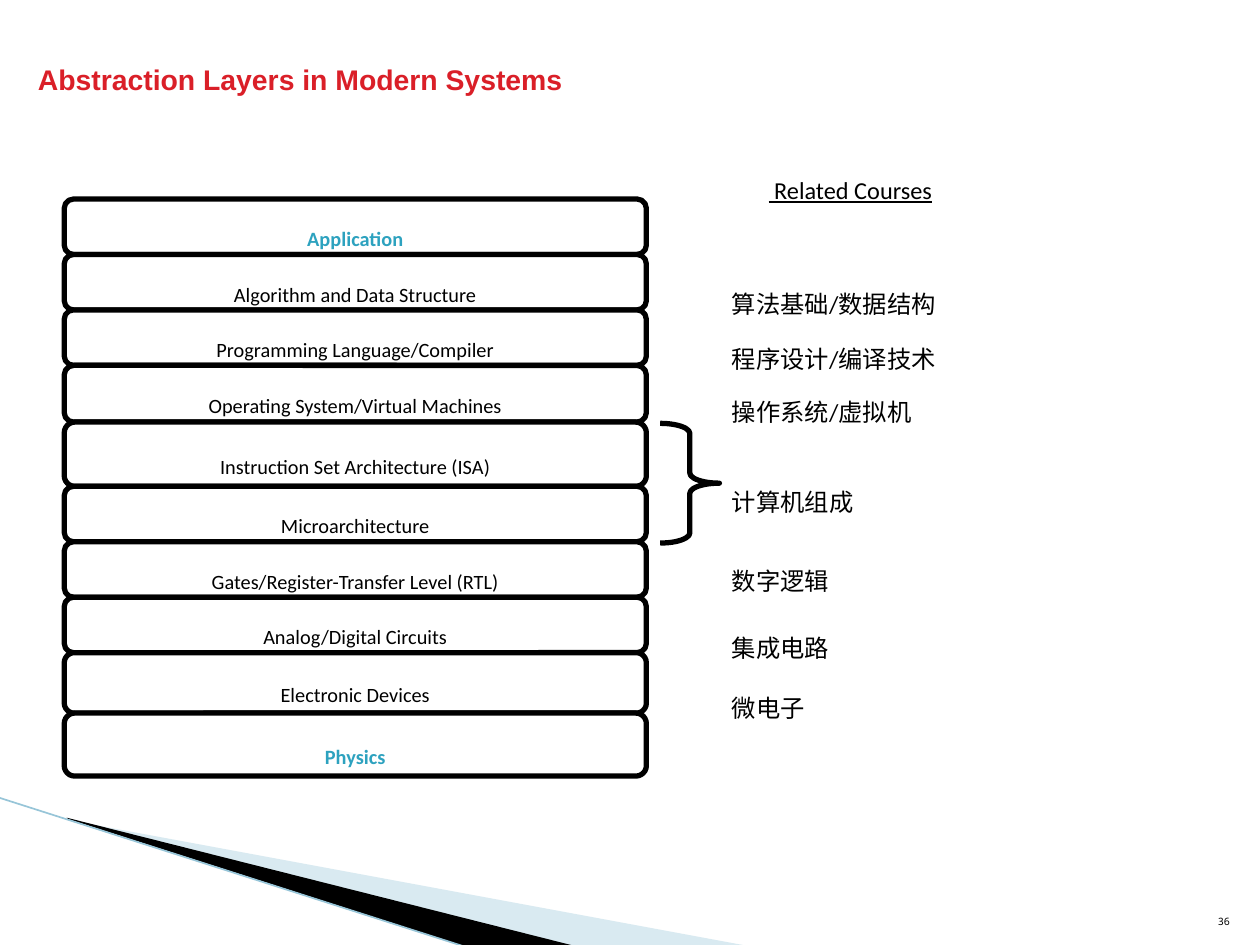
from lxml import etree
from pptx import Presentation
from pptx.dml.color import RGBColor
from pptx.enum.shapes import MSO_CONNECTOR, MSO_SHAPE
from pptx.enum.text import MSO_ANCHOR as Anchor, MSO_AUTO_SIZE as AutoSize, PP_ALIGN as Align
from pptx.oxml.ns import qn
from pptx.util import Inches, Pt

COLUMNS, ROWS = 100, 75
CELL = Inches(10) // COLUMNS
BLACK = RGBColor(0x00, 0x00, 0x00)
WHITE = RGBColor(0xFF, 0xFF, 0xFF)
RED = RGBColor(0xDA, 0x1F, 0x28)
TEAL = RGBColor(0x2D, 0xA2, 0xBF)
PALE_BLUE = RGBColor(0xA0, 0xCB, 0xDC)
EDGE_BLUE = RGBColor(0x97, 0xC5, 0xD8)

TITLE_FONT = dict(name="Arial", size=Pt(28), bold=True)
LAYER_FONT = dict(name="Calibri", size=Pt(20))
COURSE_FONT = dict(name="Calibri", size=Pt(24))
NUMBER_FONT = dict(name="Noto Sans Mono", size=Pt(10))

LAYERS = [
    ("Application", 4.4),
    ("Algorithm and Data Structure", 4.4),
    ("Programming Language/Compiler", 4.4),
    ("Operating System/Virtual Machines", 4.5),
    ("Instruction Set Architecture (ISA)", 5.1),
    ("Microarchitecture", 4.4),
    ("Gates/Register-Transfer Level (RTL)", 4.4),
    ("Analog/Digital Circuits", 4.4),
    ("Electronic Devices", 4.8),
    ("Physics", 5),
]
END_LAYERS = ("Application", "Physics")
COURSES = [
    ("算法基础/数据结构", 9, 30),
    ("程序设计/编译技术", 13.4, 30),
    ("操作系统/虚拟机", 17.6, 26.6),
    ("计算机组成", 24.7, 18.7),
    ("数字逻辑", 31, 15.3),
    ("集成电路", 36.3, 15.3),
    ("微电子", 41.1, 12),
]


def cells(*counts):
    return [round(count * CELL) for count in counts]


def apply(target, values):
    for key, value in values.items():
        setattr(target, key, value)


def write(frame, text, font, color=BLACK, align=Align.LEFT, **frame_values):
    apply(frame, dict(auto_size=AutoSize.NONE, word_wrap=True) | frame_values)
    paragraph = frame.paragraphs[0]
    paragraph.alignment = align
    run = paragraph.add_run()
    run.text = text
    apply(run.font, font)
    run.font.color.rgb = color
    run._r.get_or_add_rPr().set("baseline", "-25000")
    return paragraph


def outline(shape):
    shape.shadow.inherit = False
    shape.line.color.rgb = BLACK
    shape.line.width = Pt(3)


def add_wedge(slide, points, color):
    start, *others = [cells(*point) for point in points]
    builder = slide.shapes.build_freeform(*start)
    builder.add_line_segments(others)
    wedge = builder.convert_to_shape()
    wedge.shadow.inherit = False
    wedge.fill.solid()
    wedge.fill.fore_color.rgb = color
    wedge.line.fill.background()
    return wedge


def add_corner(slide, left, top):
    def corner(*points):
        return [(left + x, top + y) for x, y in points]

    pale = add_wedge(slide, corner((5.5, 1.8), (59.5, 11.8), (45.6, 11.8), (5.5, 1.7)), PALE_BLUE)
    tint = pale.fill._xPr.find(".//" + qn("a:srgbClr"))
    etree.SubElement(tint, qn("a:alpha"), val="40000")
    add_wedge(slide, corner((5.3, 1.6), (45.7, 11.8), (37.2, 11.9), (5.4, 1.7)), BLACK)
    start, end = corner((-0.1, 0), (37.1, 11.9))
    edge = slide.shapes.add_connector(MSO_CONNECTOR.STRAIGHT, *cells(*start, *end))
    edge.line.color.rgb = EDGE_BLUE
    edge.line.width = Pt(0.95)
    etree.SubElement(edge._element.spPr, qn("a:effectLst"))


def add_title(slide, box):
    title = slide.shapes.title
    apply(title, dict(zip(("left", "top", "width", "height"), cells(*box))))
    write(title.text_frame, "Abstraction Layers in Modern Systems", TITLE_FONT, RED,
          vertical_anchor=Anchor.MIDDLE)


def add_layers(slide, left, top, width):
    for name, height in LAYERS:
        layer = slide.shapes.add_shape(MSO_SHAPE.ROUNDED_RECTANGLE, *cells(left, top, width, height))
        outline(layer)
        layer.fill.solid()
        layer.fill.fore_color.rgb = WHITE
        is_end = name in END_LAYERS
        write(layer.text_frame, name, LAYER_FONT | dict(bold=is_end), TEAL if is_end else BLACK,
              Align.CENTER, word_wrap=False, vertical_anchor=Anchor.MIDDLE)
        top += height


def add_course(slide, box, text, font=COURSE_FONT, **frame_values):
    course = slide.shapes.add_textbox(*cells(*box))
    paragraph = write(course.text_frame, text, font, auto_size=AutoSize.SHAPE_TO_FIT_TEXT, **frame_values)
    before = etree.SubElement(paragraph._p.get_or_add_pPr(), qn("a:spcBef"))
    etree.SubElement(before, qn("a:spcPct"), val="50000")


def add_courses(slide, left, top):
    add_course(slide, (left - 2.8, top, 26.4, 5), " Related Courses",
               COURSE_FONT | dict(underline=True), align=Align.CENTER)
    for name, drop, width in COURSES:
        add_course(slide, (left, top + drop, width, 5), name, word_wrap=False)


def add_brace(slide, box):
    brace = slide.shapes.add_shape(MSO_SHAPE.RIGHT_BRACE, *cells(*box))
    outline(brace)
    brace.fill.background()
    brace.adjustments[0] = 0.17


def add_page_number(slide, box):
    number = slide.shapes.add_textbox(*cells(*box))
    write(number.text_frame, "36", NUMBER_FONT, align=Align.RIGHT, vertical_anchor=Anchor.BOTTOM)


def main():
    deck = Presentation()
    deck.slide_width, deck.slide_height = cells(COLUMNS, ROWS)
    slide = deck.slides.add_slide(deck.slide_layouts[5])
    add_corner(slide, 0, 63.3)
    add_title(slide, (2, 0.8, 96.7, 8.4))
    add_layers(slide, 5.1, 15.8, 46.2)
    add_courses(slide, 57.1, 11.2)
    add_brace(slide, (52.4, 33.6, 4.7, 9.5))
    add_page_number(slide, (94.6, 70.1, 4, 4))
    deck.save("out.pptx")


if __name__ == "__main__":
    main()
